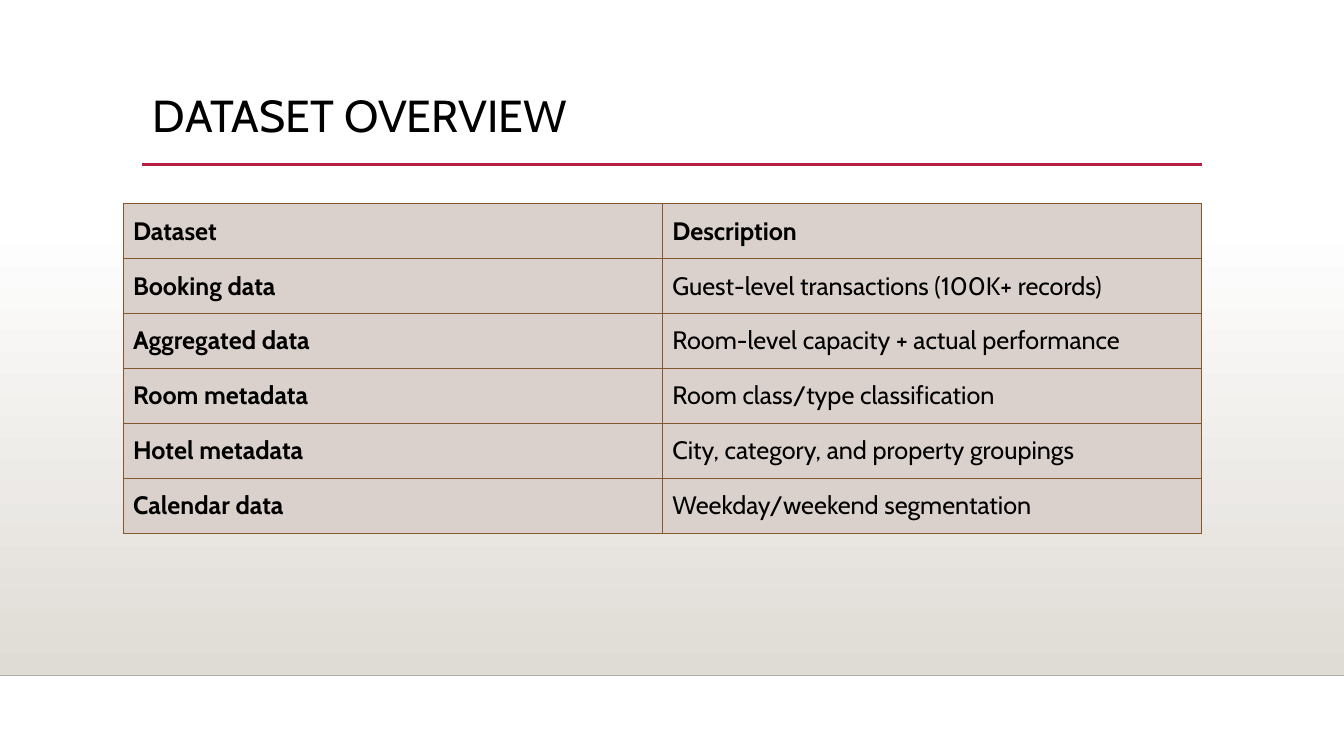
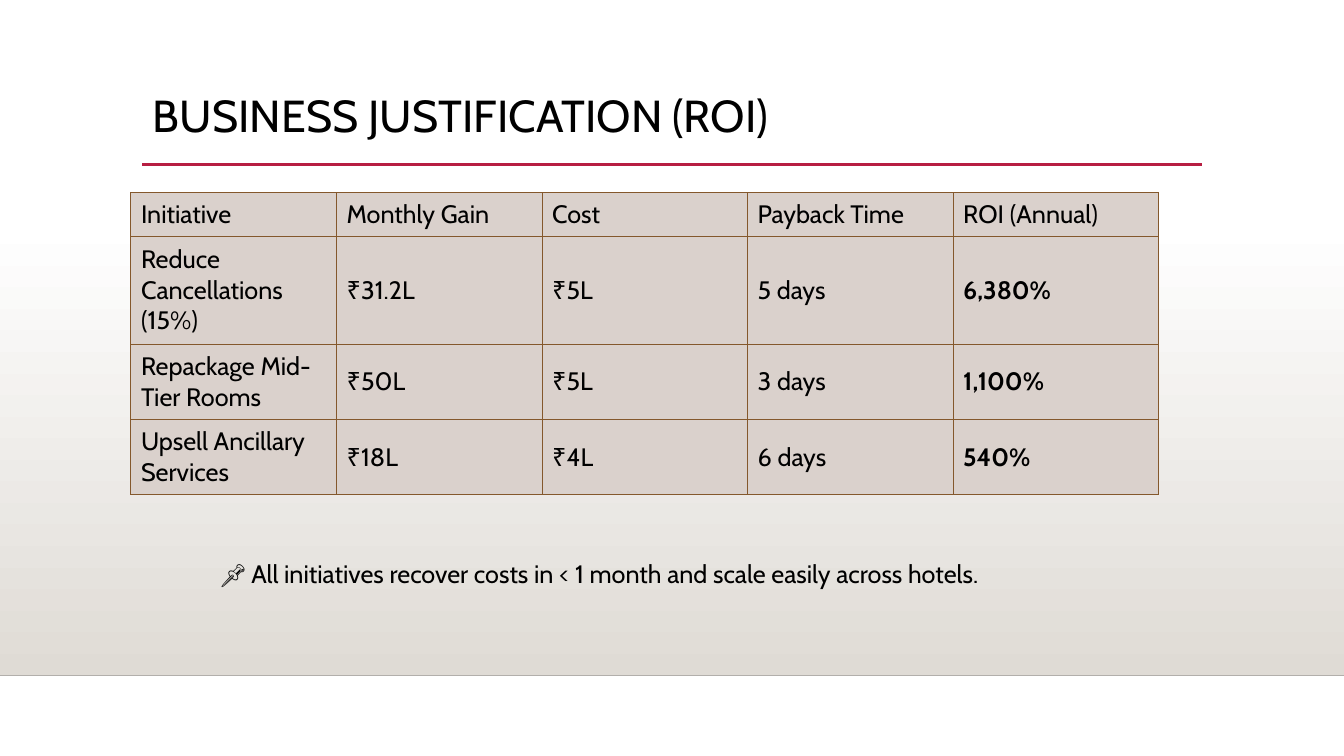
from lxml import etree
from pptx import Presentation
from pptx.dml.color import RGBColor
from pptx.enum.shapes import MSO_CONNECTOR, MSO_SHAPE
from pptx.enum.text import MSO_ANCHOR, PP_ALIGN
from pptx.oxml import parse_xml
from pptx.oxml.ns import nsdecls, qn
from pptx.util import Cm, Pt

FONT = "Cabin"
COLOURS = {
    "text": "000000",
    "accent": "B71E42",
    "band_top": "FFFFFF",
    "band_bottom": "DFDBD5",
    "band_edge": "B2AFAB",
    "cell": "DAD1CC",
    "border": "84582C",
}
RGB = {part: RGBColor.from_string(value) for part, value in COLOURS.items()}
SLIDE_W, SLIDE_H = 33.87, 19.05
BAND_TOP, BAND_BOTTOM = 5.61, 17.02

SLIDES = [
    {
        "title": "DATASET OVERVIEW",
        "left": 3.1, "top": 5.13,
        "column": 13.59,
        "heights": [1.385] * 6,
        "is_bold": lambda row, col: row == 0 or col == 0,
        "rows": [
            ["Dataset", "Description"],
            ["Booking data", "Guest-level transactions (100K+ records)"],
            ["Aggregated data", "Room-level capacity + actual performance"],
            ["Room metadata", "Room class/type classification"],
            ["Hotel metadata", "City, category, and property groupings"],
            ["Calendar data", "Weekday/weekend segmentation"],
        ],
    },
    {
        "title": "BUSINESS JUSTIFICATION (ROI)",
        "left": 3.3, "top": 4.85,
        "column": 5.18,
        "heights": [1.1, 2.72, 1.9, 1.9],
        "is_bold": lambda row, col: row > 0 and col == 4,
        "rows": [
            ["Initiative", "Monthly Gain", "Cost", "Payback Time", "ROI (Annual)"],
            ["Reduce Cancellations (15%)", "₹31.2L", "₹5L", "5 days", "6,380%"],
            ["Repackage Mid-Tier Rooms", "₹50L", "₹5L", "3 days", "1,100%"],
            ["Upsell Ancillary Services", "₹18L", "₹4L", "6 days", "540%"],
        ],
        "note": "📌 All initiatives recover costs in < 1 month "
                "and scale easily across hotels.",
    },
]


def style_text(paragraph, size, bold=False):
    paragraph.font.name = FONT
    paragraph.font.size = Pt(size)
    paragraph.font.bold = bold
    paragraph.font.color.rgb = RGB["text"]


def add_rule(slide, left, right, y, colour, width):
    """Draw a horizontal line without a shadow."""
    rule = slide.shapes.add_connector(
        MSO_CONNECTOR.STRAIGHT, Cm(left), Cm(y), Cm(right), Cm(y))
    rule.line.color.rgb = RGB[colour]
    rule.line.width = Pt(width)
    etree.SubElement(rule._element.spPr, qn("a:effectLst"))


prs = Presentation()
prs.slide_width, prs.slide_height = Cm(SLIDE_W), Cm(SLIDE_H)
title_only = prs.slide_layouts[5]

for content in SLIDES:
    slide = prs.slides.add_slide(title_only)

    # Shared background band and rules
    band = slide.shapes.add_shape(
        MSO_SHAPE.RECTANGLE, 0, Cm(BAND_TOP), Cm(SLIDE_W), Cm(BAND_BOTTOM - BAND_TOP))
    band.shadow.inherit = False
    band.line.fill.background()
    band.fill.gradient()
    band.fill.gradient_angle = 270
    for stop, colour in zip(band.fill.gradient_stops, ("band_top", "band_bottom")):
        stop.color.rgb = RGB[colour]
    add_rule(slide, 0, SLIDE_W, BAND_BOTTOM, "band_edge", 1)
    add_rule(slide, 3.58, 30.28, 4.14, "accent", 2.5)

    # Title
    title = slide.shapes.title
    title.left, title.top, title.width, title.height = Cm(3.6), Cm(2.24), Cm(26.67), Cm(2.92)
    title.text_frame.text = content["title"]
    title.text_frame.vertical_anchor = MSO_ANCHOR.TOP
    heading = title.text_frame.paragraphs[0]
    heading.alignment = PP_ALIGN.LEFT
    heading.line_spacing = 0.9
    style_text(heading, 32)

    # Table
    rows, heights = content["rows"], content["heights"]
    table = slide.shapes.add_table(
        len(rows), len(rows[0]), Cm(content["left"]), Cm(content["top"]),
        Cm(content["column"] * len(rows[0])), Cm(sum(heights))).table
    table.first_row = table.horz_banding = False
    for column in table.columns:
        column.width = Cm(content["column"])
    for r, (values, height) in enumerate(zip(rows, heights)):
        table.rows[r].height = Cm(height)
        for c, value in enumerate(values):
            cell = table.cell(r, c)
            cell.text = value
            cell.vertical_anchor = MSO_ANCHOR.MIDDLE
            style_text(cell.text_frame.paragraphs[0], 18, content["is_bold"](r, c))
            cell_props = cell._tc.get_or_add_tcPr()
            for side in ("lnL", "lnR", "lnT", "lnB"):
                cell_props.append(parse_xml(
                    f'<a:{side} {nsdecls("a")} w="{Pt(0.75)}"><a:solidFill>'
                    f'<a:srgbClr val="{COLOURS["border"]}"/></a:solidFill></a:{side}>'))
            cell.fill.solid()
            cell.fill.fore_color.rgb = RGB["cell"]

    # Closing remark
    if "note" in content:
        note = slide.shapes.add_textbox(Cm(5.31), Cm(13.94), Cm(19.86), Cm(1.02)).text_frame
        note.word_wrap = False
        note.text = content["note"]
        style_text(note.paragraphs[0], 18)

prs.save("out.pptx")
